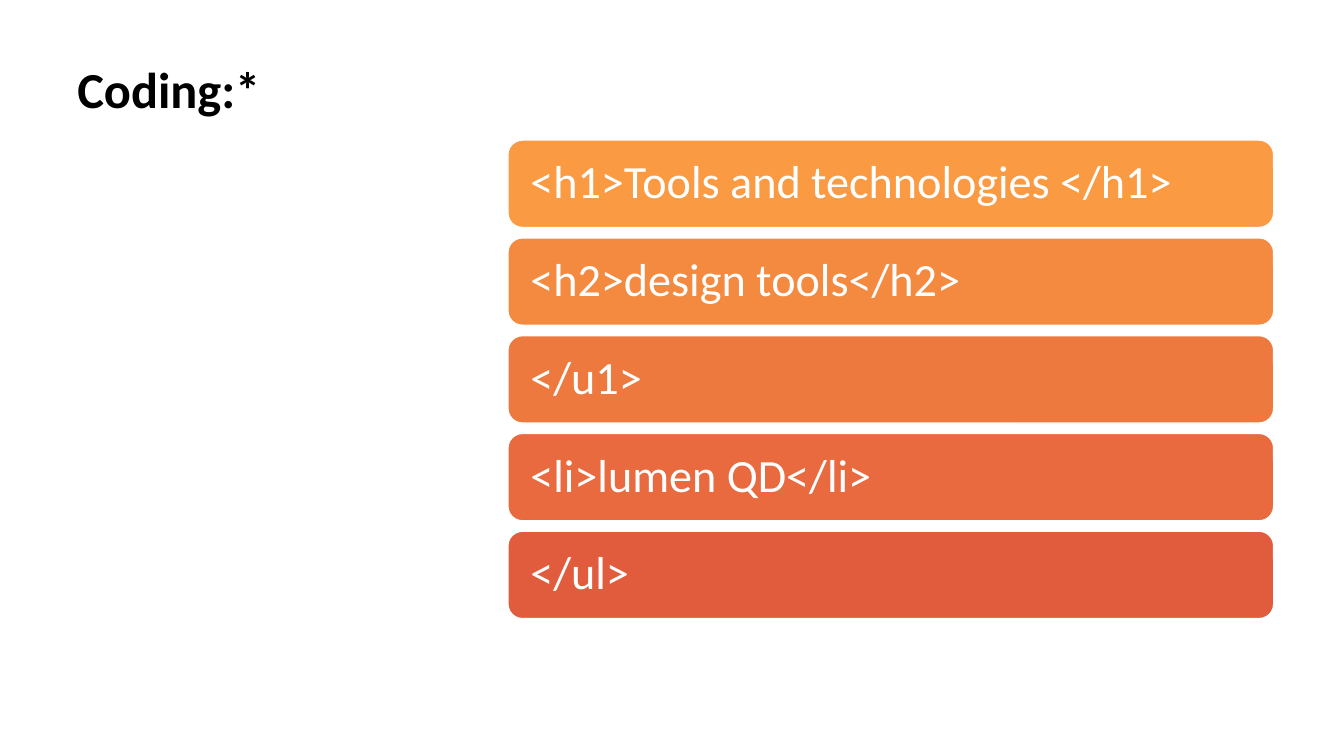
from pptx import Presentation
from pptx.dml.color import RGBColor
from pptx.enum.shapes import MSO_SHAPE
from pptx.enum.text import MSO_ANCHOR, PP_ALIGN
from pptx.util import Cm, Pt

COLORS = {
    "title": "000000",
    "code": "FFFFFF",
    "outline": "FFFFFF",
    "bar1": "FA9A42",
    "bar2": "F48940",
    "bar3": "EE793F",
    "bar4": "E86A3E",
    "bar5": "E15C3D",
}
FONT = "Calibri"
CODE_LINES = [
    ("<h1>Tools and technologies </h1>", "bar1"),
    ("<h2>design tools</h2>", "bar2"),
    ("</u1>", "bar3"),
    ("<li>lumen QD</li>", "bar4"),
    ("</ul>", "bar5"),
]


def rgb(name):
    return RGBColor.from_string(COLORS[name])


def write(frame, text, size, color, bold=False):
    frame.word_wrap = True
    frame.text = text
    paragraph = frame.paragraphs[0]
    paragraph.alignment = PP_ALIGN.LEFT
    paragraph.line_spacing = 0.9
    font = paragraph.runs[0].font
    font.name = FONT
    font.size = Pt(size)
    font.bold = bold
    font.color.rgb = rgb(color)


def add_title(slide, left, top, width, height):
    title = slide.shapes.add_textbox(Cm(left), Cm(top), Cm(width), Cm(height))
    title.text_frame.vertical_anchor = MSO_ANCHOR.TOP
    write(title.text_frame, "Coding:*", 36, "title", bold=True)


def add_code_bars(slide, left, top, width, height, gap=0.26):
    """Stack one rounded bar per code line, filling the given box."""
    count = len(CODE_LINES)
    bar_height = (height - gap * (count - 1)) / count
    for row, (code, fill) in enumerate(CODE_LINES):
        bar = slide.shapes.add_shape(
            MSO_SHAPE.ROUNDED_RECTANGLE,
            Cm(left), Cm(top + row * (bar_height + gap)),
            Cm(width), Cm(bar_height))
        bar.shadow.inherit = False
        bar.fill.solid()
        bar.fill.fore_color.rgb = rgb(fill)
        bar.line.color.rgb = rgb("outline")
        bar.line.width = Pt(1)
        frame = bar.text_frame
        frame.margin_left = frame.margin_right = Cm(0.46)
        frame.margin_top = frame.margin_bottom = Cm(0.46)
        frame.vertical_anchor = MSO_ANCHOR.MIDDLE
        write(frame, code, 33, "code")


def main():
    deck = Presentation()
    deck.slide_width = Cm(33.87)
    deck.slide_height = Cm(19.05)
    slide = deck.slides.add_slide(deck.slide_layouts[6])
    add_title(slide, 1.7, 1.52, 9.7, 16.08)
    add_code_bars(slide, 12.8, 3.53, 19.3, 12.06)
    deck.save("out.pptx")


if __name__ == "__main__":
    main()
